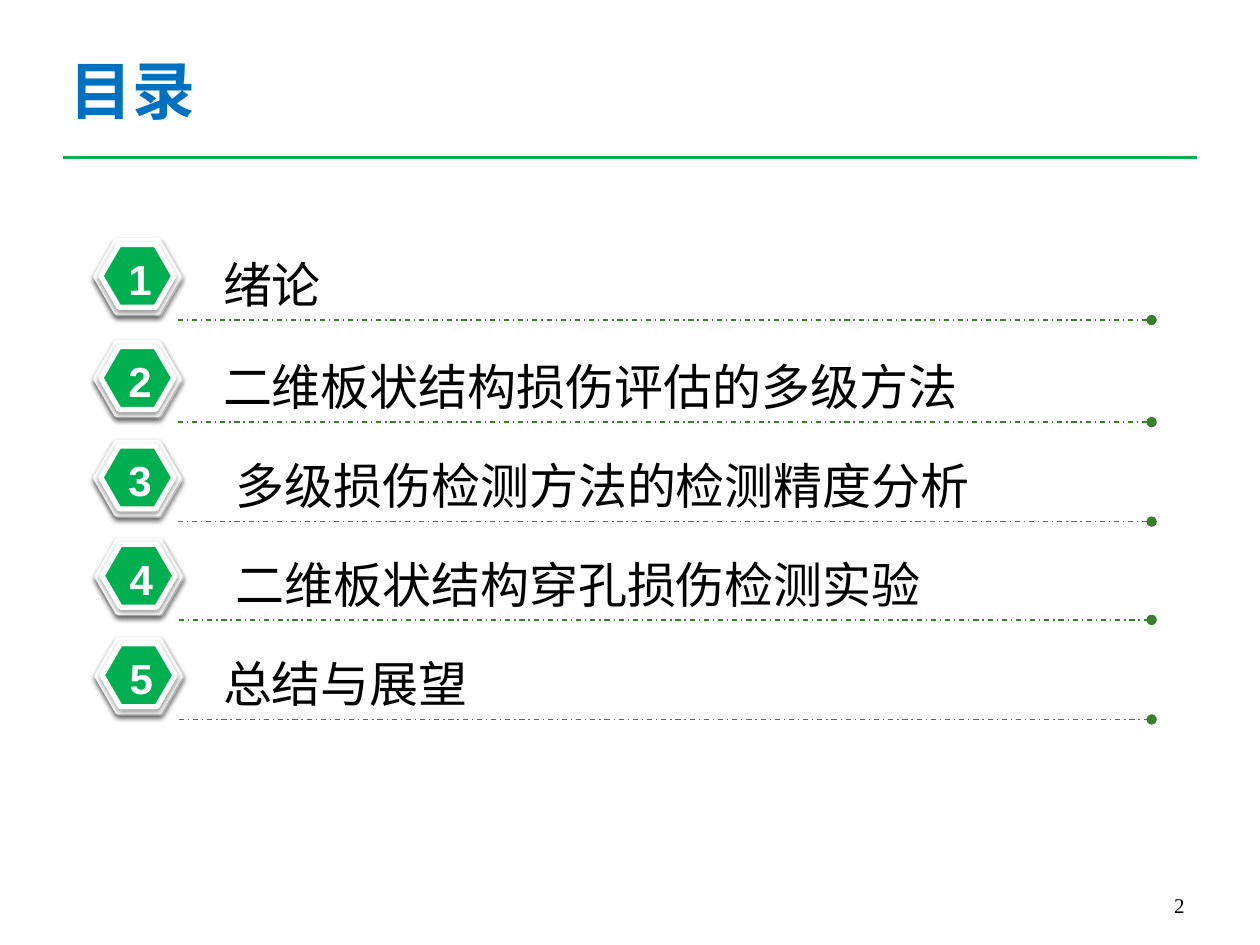
from dataclasses import dataclass

from lxml import etree
from pptx import Presentation
from pptx.dml.color import RGBColor
from pptx.enum.dml import MSO_LINE
from pptx.enum.shapes import MSO_CONNECTOR, MSO_SHAPE
from pptx.enum.text import MSO_ANCHOR, PP_ALIGN
from pptx.oxml.ns import qn
from pptx.util import Inches, Pt

STRAIGHT = MSO_CONNECTOR.STRAIGHT
HEXAGON = MSO_SHAPE.HEXAGON
DASH_DOT = MSO_LINE.DASH_DOT
TOP, BOTTOM = MSO_ANCHOR.TOP, MSO_ANCHOR.BOTTOM
LEFT, CENTER, RIGHT = PP_ALIGN.LEFT, PP_ALIGN.CENTER, PP_ALIGN.RIGHT

COLORS = {
    "green": "00B050",
    "blue": "0070C0",
    "rule": "38802C",
    "white": "FFFFFF",
    "black": "000000",
}
CHINESE_FONT = "Noto Sans CJK SC"


@dataclass(frozen=True)
class Style:
    size: float
    font: str
    color: str
    bold: bool = False
    align: PP_ALIGN = LEFT
    anchor: MSO_ANCHOR = TOP


@dataclass(frozen=True)
class Entry:
    text: str
    top: float
    left: float = 0.76
    indent: float = 0.09
    backing: str = "green"


TITLE = Style(36, "Arial", "blue", bold=True)
TOPIC = Style(28, CHINESE_FONT, "black")
NUMBER = Style(24, "Arial", "white", bold=True, align=CENTER)
PAGE = Style(12, "Times New Roman", "black", align=RIGHT, anchor=BOTTOM)

ENTRIES = [
    Entry("绪论", 1.91, backing="blue"),
    Entry("二维板状结构损伤评估的多级方法", 2.72),
    Entry("多级损伤检测方法的检测精度分析", 3.51, indent=0.19),
    Entry("二维板状结构穿孔损伤检测实验", 4.29, left=0.77, indent=0.19),
    Entry("总结与展望", 5.08, left=0.77),
]


def rgb(name: str) -> RGBColor:
    return RGBColor.from_string(COLORS[name])


def add_text(slide, text: str, left: float, top: float, width: float,
             height: float, style: Style, indent: float = 0) -> None:
    box = slide.shapes.add_textbox(Inches(left), Inches(top), Inches(width), Inches(height))
    frame = box.text_frame
    frame.word_wrap = True
    frame.vertical_anchor = style.anchor
    frame.margin_left = Inches(0.1 + indent)
    paragraph = frame.paragraphs[0]
    paragraph.alignment = style.align
    run = paragraph.add_run()
    run.text = text
    font = run.font
    font.size = Pt(style.size)
    font.bold = style.bold
    font.name = style.font
    font.color.rgb = rgb(style.color)
    properties = run._r.get_or_add_rPr()
    etree.SubElement(properties, qn("a:ea"), typeface=CHINESE_FONT)


def add_line(slide, left: float, right: float, y: float, color: str, width: float):
    line = slide.shapes.add_connector(STRAIGHT, Inches(left), Inches(y), Inches(right), Inches(y))
    line.line.color.rgb = rgb(color)
    line.line.width = Pt(width)
    etree.SubElement(line._element.spPr, qn("a:effectLst"))
    return line


def add_hexagon(group, left: float, top: float, width: float,
                height: float, color: str) -> None:
    shape = group.shapes.add_shape(HEXAGON, Inches(left), Inches(top), Inches(width), Inches(height))
    shape.adjustments[0] = 0.289
    shape.fill.solid()
    shape.fill.fore_color.rgb = rgb(color)
    shape.line.color.rgb = rgb("white")
    shape.line.width = Pt(3)
    shape.shadow.inherit = False
    effects = shape._element.spPr.find(qn("a:effectLst"))
    shadow = etree.SubElement(
        effects, qn("a:outerShdw"), blurRad=str(Pt(3.1)), dist=str(Pt(1.6)),
        dir="5400000", algn="ctr", rotWithShape="0")
    shade = etree.SubElement(shadow, qn("a:srgbClr"), val=COLORS["black"])
    etree.SubElement(shade, qn("a:alpha"), val="38000")


def add_entry(slide, number: int, entry: Entry) -> None:
    left, top = entry.left, entry.top
    badge = slide.shapes.add_group_shape()
    add_hexagon(badge, left + 0.01, top + 0.01, 0.66, 0.57, entry.backing)
    add_hexagon(badge, left, top, 0.66, 0.57, entry.backing)
    add_hexagon(badge, left + 0.04, top + 0.03, 0.58, 0.5, "green")
    add_text(slide, entry.text, 1.58, top + 0.06, 7.78, 0.57, TOPIC, entry.indent)
    add_text(slide, str(number), left + 0.16, top + 0.05, 0.35, 0.5, NUMBER)
    rule = add_line(slide, left + 0.65, 9.14, top + 0.63, "rule", 0.75)
    rule.line.dash_style = DASH_DOT
    etree.SubElement(rule.line._get_or_add_ln(), qn("a:tailEnd"), type="oval")


def main() -> None:
    presentation = Presentation()
    presentation.slide_width = Inches(10)
    presentation.slide_height = Inches(7.5)
    slide = presentation.slides.add_slide(presentation.slide_layouts[6])
    add_line(slide, 0.5, 9.5, 1.25, "green", 2.25)
    add_text(slide, "2", 7.17, 6.83, 2.33, 0.5, PAGE)
    add_text(slide, "目录", 0.45, 0.36, 2.87, 0.61, TITLE)
    for number, entry in enumerate(ENTRIES, start=1):
        add_entry(slide, number, entry)
    presentation.save("out.pptx")


if __name__ == "__main__":
    main()
